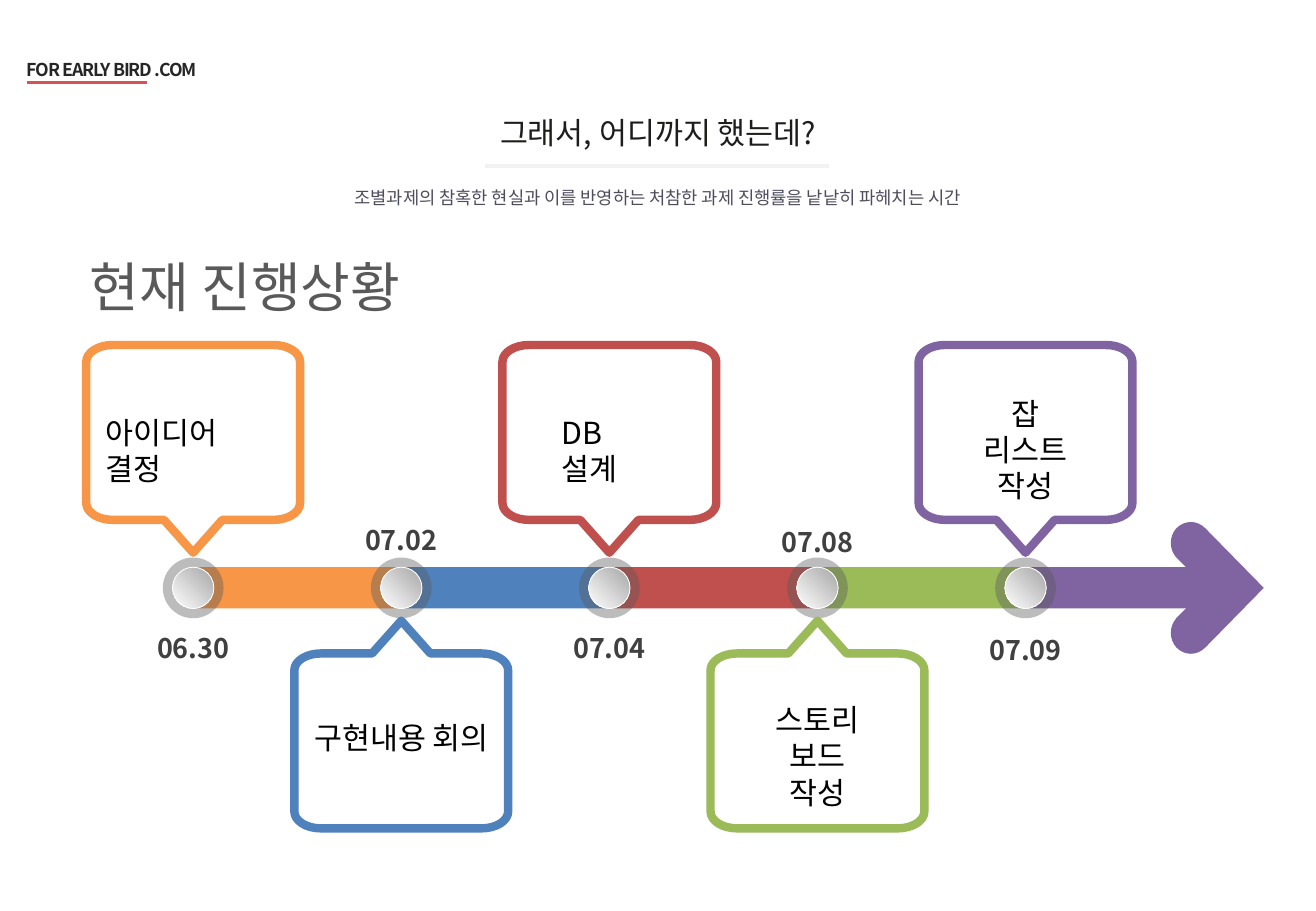
"""Build a progress timeline slide with five dated milestones."""
from dataclasses import dataclass

from lxml import etree
from pptx import Presentation
from pptx.dml.color import RGBColor
from pptx.enum.shapes import MSO_CONNECTOR, MSO_SHAPE
from pptx.enum.text import MSO_ANCHOR, MSO_AUTO_SIZE, PP_ALIGN
from pptx.oxml.ns import qn
from pptx.util import Inches, Pt

STRAIGHT = MSO_CONNECTOR.STRAIGHT
OVAL, RECTANGLE = MSO_SHAPE.OVAL, MSO_SHAPE.RECTANGLE
TOP, MIDDLE = MSO_ANCHOR.TOP, MSO_ANCHOR.MIDDLE
FIXED, GROW = MSO_AUTO_SIZE.NONE, MSO_AUTO_SIZE.SHAPE_TO_FIT_TEXT
LEFT, CENTER, JUSTIFY = PP_ALIGN.LEFT, PP_ALIGN.CENTER, PP_ALIGN.JUSTIFY

FONT = "Noto Sans CJK KR"
BLACK = RGBColor(0x00, 0x00, 0x00)
WHITE = RGBColor(0xFF, 0xFF, 0xFF)
HEADLINE_INK = RGBColor(0x1D, 0x1D, 0x1B)
SUBTITLE_INK = RGBColor(0x4E, 0x4D, 0x5E)
SITE_INK = RGBColor(0x26, 0x26, 0x26)
SECTION_INK = RGBColor(0x59, 0x59, 0x59)
DATE_INK = RGBColor(0x40, 0x40, 0x40)
SILVER = RGBColor(0xA6, 0xA6, 0xA6)
PALE_RULE = RGBColor(0xF2, 0xF2, 0xF2)
RED_RULE = RGBColor(0xDA, 0x50, 0x54)
ORANGE = RGBColor(0xF7, 0x96, 0x46)
BLUE = RGBColor(0x4F, 0x81, 0xBD)
RED = RGBColor(0xC0, 0x50, 0x4D)
GREEN = RGBColor(0x9B, 0xBB, 0x59)
PURPLE = RGBColor(0x80, 0x64, 0xA2)

FIRST_X, LAST_X = 1.59, 8.44
BAR_LEFT, BAR_WIDTH, BAR_HEIGHT = 1.57, 1.72, 0.34
AXIS_Y, UPPER_TIP, LOWER_TIP = 4.84, 4.55, 5.11
RING_SIZE, KNOB_SIZE = 0.5, 0.34
DATE_WIDTH, DATE_HEIGHT = 1, 0.37

Point = tuple[float, float]
Box = tuple[float, float, float, float]
Insets = tuple[float, float, float, float]

FLUSH: Insets = (0, 0, 0, 0)
USUAL: Insets = (0.1, 0.05, 0.1, 0.05)
TASK_INSETS = {LEFT: (0.1, 0.05, 0.15, 0.05), CENTER: (0.12, 0.05, 0.12, 0.05)}

CALLOUT_HALF = [
    (0, 0), (0.27, 0.24), (0.27, 0.66), (0.27, 0.78, 0.33, 0.88, 0.41, 0.88),
    (1.57, 0.88), (1.65, 0.88, 1.71, 0.78, 1.71, 0.66),
]
ARROW_HALF = [
    (10.4, 0), (9.92, 0.49), (9.85, 0.56, 9.75, 0.56, 9.68, 0.49),
    (9.62, 0.42, 9.62, 0.32, 9.68, 0.25), (9.93, 0),
]


@dataclass(frozen=True)
class Milestone:
    date: str
    task: str
    color: RGBColor
    above: bool
    date_top: float
    task_box: Box
    task_align: PP_ALIGN


@dataclass(frozen=True)
class Caption:
    text: str
    box: Box
    size: float
    color: RGBColor
    align: PP_ALIGN = CENTER
    anchor: MSO_ANCHOR = MIDDLE
    bold: bool = False
    insets: Insets = USUAL
    fit: MSO_AUTO_SIZE = FIXED
    space_after: float = 0
    tracking: int = 0


@dataclass(frozen=True)
class Rule:
    left: float
    right: float
    y: float
    color: RGBColor
    width: float


MILESTONES = [
    Milestone("06.30", "아이디어 결정", ORANGE, True, 5.15, (0.77, 3.36, 1.64, 0.4), LEFT),
    Milestone("07.02", "구현내용 회의", BLUE, False, 4.26, (2.45, 5.87, 1.71, 0.4), CENTER),
    Milestone("07.04", "DB설계", RED, True, 5.15, (4.52, 3.36, 0.99, 0.4), LEFT),
    Milestone("07.08", "스토리 보드\n작성", GREEN, False, 4.28, (6.02, 5.72, 1.41, 0.71), CENTER),
    Milestone("07.09", "잡 리스트\n작성", PURPLE, True, 5.17, (7.85, 3.2, 1.18, 0.71), CENTER),
]
HEADLINE = Caption("그래서, 어디까지 했는데?", (1.44, 0.9, 7.95, 0.38), 18, HEADLINE_INK,
                   space_after=3)
CAPTIONS = [
    Caption("조별과제의 참혹한 현실과 이를 반영하는 처참한 과제 진행률을 낱낱히 파헤치는 시간",
            (1.44, 1.5, 7.95, 0.25), 10.5, SUBTITLE_INK, space_after=3),
    Caption("FOR EARLY BIRD .COM", (0.22, 0.34, 2.99, 0.47), 10.5, SITE_INK, LEFT,
            bold=True, insets=FLUSH, tracking=-60),
    Caption("현재 진행상황", (0.74, 2.1, 2.68, 0.5), 32, SECTION_INK, JUSTIFY, insets=FLUSH),
]
RULES = [Rule(0.22, 0.31, 0.68, RED_RULE, 2), Rule(3.99, 6.82, 1.37, PALE_RULE, 2.25),
         Rule(0.22, 1.21, 0.68, RED_RULE, 2)]


def apply_format(target, values: dict) -> None:
    for name, value in values.items():
        setattr(target, name, value)


def write_caption(holder, caption: Caption) -> None:
    places = map(Inches, caption.box)
    apply_format(holder, dict(zip(("left", "top", "width", "height"), places)))
    frame = holder.text_frame
    frame.text = caption.text
    margins = ("margin_left", "margin_top", "margin_right", "margin_bottom")
    apply_format(frame, dict(zip(margins, map(Inches, caption.insets))))
    apply_format(frame, {"word_wrap": True, "auto_size": caption.fit,
                         "vertical_anchor": caption.anchor})
    for paragraph in frame.paragraphs:
        apply_format(paragraph, {"alignment": caption.align,
                                 "space_after": Pt(caption.space_after)})
        for run in paragraph.runs:
            apply_format(run.font, {"name": FONT, "size": Pt(caption.size),
                                    "bold": caption.bold})
            run.font.color.rgb = caption.color
            properties = run._r.get_or_add_rPr()
            etree.SubElement(properties, qn("a:ea"), typeface=FONT)
            properties.set("kern", "0")
            if caption.tracking:
                properties.set("spc", str(caption.tracking))


def add_caption(shapes, caption: Caption) -> None:
    write_caption(shapes.add_textbox(*map(Inches, caption.box)), caption)


def add_rule(shapes, rule: Rule) -> None:
    ends = map(Inches, (rule.left, rule.y, rule.right, rule.y))
    stroke = shapes.add_connector(STRAIGHT, *ends)
    stroke.line.color.rgb = rule.color
    stroke.line.width = Pt(rule.width)
    etree.SubElement(stroke._element.spPr, qn("a:effectLst"))


def paint(shape, color: RGBColor):
    shape.shadow.inherit = False
    shape.fill.solid()
    shape.fill.fore_color.rgb = color
    shape.line.fill.background()
    return shape


def mirror(half: list[tuple[float, ...]]) -> tuple[list[Point], list[int]]:
    points = [step[i:i + 2] for step in half for i in range(0, len(step), 2)]
    sizes = [len(step) // 2 for step in half[1:]]
    back = [(along, -across) for along, across in reversed(points[1:])]
    if points[-1][1] == 0:
        return points + back[1:], sizes + sizes[:0:-1]
    return points + back, sizes + [1] + sizes[:0:-1]


def add_outline(shapes, points: list[Point], sizes: list[int], color: RGBColor):
    start, *rest = [(Inches(x), Inches(y)) for x, y in points]
    builder = shapes.build_freeform(*start)
    builder.add_line_segments(rest, close=True)
    outline = builder.convert_to_shape()
    segments = iter(list(outline._element.iter(qn("a:lnTo"))))
    for size in sizes:
        first = next(segments)
        if size == 3:
            first.tag = qn("a:cubicBezTo")
            for _ in range(2):
                control = next(segments)
                first.append(control[0])
                control.getparent().remove(control)
    return paint(outline, color)


def add_callout(shapes, center: float, milestone: Milestone) -> None:
    tip, direction = (UPPER_TIP, -1) if milestone.above else (LOWER_TIP, 1)
    points, sizes = mirror(CALLOUT_HALF)
    placed = [(center + across, tip + direction * along) for along, across in points]
    callout = add_outline(shapes, placed, sizes, WHITE)
    callout.line.color.rgb = milestone.color
    callout.line.width = Pt(5)


def add_disc(shapes, center: float, size: float, color: RGBColor):
    box = (center - size / 2, AXIS_Y - size / 2, size, size)
    return paint(shapes.add_shape(OVAL, *map(Inches, box)), color)


def add_marker(shapes, center: float) -> None:
    ring = add_disc(shapes, center, RING_SIZE, SECTION_INK)
    ring_color = ring._element.spPr.find(qn("a:solidFill"))[0]
    etree.SubElement(ring_color, qn("a:alpha"), val="40000")
    knob = add_disc(shapes, center, KNOB_SIZE, WHITE)
    knob.fill.gradient()
    knob.fill.gradient_angle = 225
    for stop, color in zip(knob.fill.gradient_stops, (SILVER, WHITE)):
        stop.color.rgb = color
    knob.line.color.rgb = WHITE
    knob.line.width = Pt(0.5)


def main() -> None:
    deck = Presentation()
    apply_format(deck, {"slide_width": Inches(10.83), "slide_height": Inches(7.5)})
    shapes = deck.slides.add_slide(deck.slide_layouts[5]).shapes
    write_caption(shapes.title, HEADLINE)
    for caption in CAPTIONS:
        add_caption(shapes, caption)
    for rule in RULES:
        add_rule(shapes, rule)
    for i, milestone in enumerate(MILESTONES):
        bar = (BAR_LEFT + i * BAR_WIDTH, AXIS_Y - BAR_HEIGHT / 2, BAR_WIDTH, BAR_HEIGHT)
        paint(shapes.add_shape(RECTANGLE, *map(Inches, bar)), milestone.color)
    points, sizes = mirror(ARROW_HALF)
    add_outline(shapes, [(x, AXIS_Y + y) for x, y in points], sizes, PURPLE)
    step = (LAST_X - FIRST_X) / (len(MILESTONES) - 1)
    for i, milestone in enumerate(MILESTONES):
        center = FIRST_X + i * step
        add_marker(shapes, center)
        add_callout(shapes, center, milestone)
        date_box = (center - DATE_WIDTH / 2, milestone.date_top, DATE_WIDTH, DATE_HEIGHT)
        add_caption(shapes, Caption(milestone.date, date_box, 16, DATE_INK,
                                    anchor=TOP, bold=True, fit=GROW))
        align = milestone.task_align
        add_caption(shapes, Caption(milestone.task, milestone.task_box, 18, BLACK, align,
                                    TOP, insets=TASK_INSETS[align], fit=GROW))
    deck.save("out.pptx")


if __name__ == "__main__":
    main()
